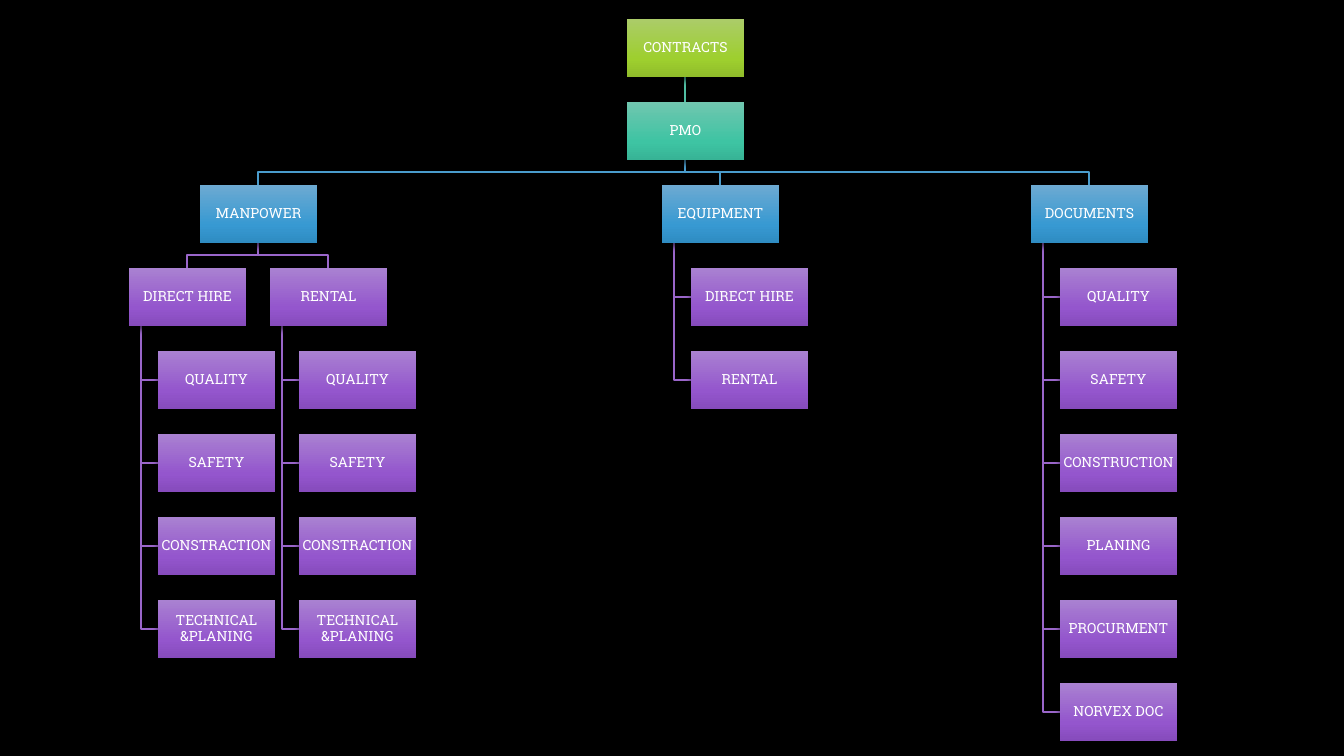
"""Draws the contracts organisation chart."""
from copy import deepcopy

from pptx import Presentation, util as u
from pptx.dml.color import RGBColor
from pptx.enum import shapes, text
from pptx.oxml import parse_xml
from pptx.oxml.ns import nsdecls, qn

PX = 914400 / 100.8
WIDE, HIGH, STEP, TOP = 117, 58, 83, 19
HALF, STEM, INDENT = 58, 12, 29
LIME = ("ABCC69", "9ECF2E", "90BC2A")
TEAL = ("70C6AF", "3EC4A3", "37B395")
BLUE = ("6DAAD2", "3799D2", "2F8CC2")
PLUM = ("A981D1", "9456CD", "864BBC")
TEAL_LINE, BLUE_LINE, PLUM_LINE = "50BEA3", "4A9CCC", "9A66CA"
ROOT = 627
CREW = ["QUALITY", "SAFETY", "CONSTRACTION", "TECHNICAL &PLANING"]
PAPERS = ["QUALITY", "SAFETY", "CONSTRUCTION", "PLANING", "PROCURMENT", "NORVEX DOC"]
HEADS = [
    ("CONTRACTS", ROOT, 0, LIME, []),
    ("PMO", ROOT, 1, TEAL, []),
    ("MANPOWER", 200, 2, BLUE, []),
    ("DIRECT HIRE", 129, 3, PLUM, CREW),
    ("RENTAL", 270, 3, PLUM, CREW),
    ("EQUIPMENT", 662, 2, BLUE, ["DIRECT HIRE", "RENTAL"]),
    ("DOCUMENTS", 1031, 2, BLUE, PAPERS),
]
FORKS = [(ROOT, 1, (200, 662, 1031), BLUE_LINE), (200, 2, (129, 270), PLUM_LINE)]


def emu(px):
    """Turn pixels into EMU."""
    return u.Emu(round(px * PX))


def tint(code):
    """Turn a hex string into a colour."""
    return RGBColor.from_string(code)


def top(row):
    """Give the upper edge of a row."""
    return TOP + STEP * row


def pen(line, code):
    """Style a line."""
    line.color.rgb = tint(code)
    line.width = u.Pt(1.5)


def drop(slide, x, row, code):
    """Draw a straight line down to the next row."""
    ends = [emu(n) for n in (x, top(row) + HIGH, x, top(row + 1))]
    link = slide.shapes.add_connector(shapes.MSO_CONNECTOR.STRAIGHT, *ends)
    pen(link.line, code)
    link._element.spPr.append(parse_xml(f"<a:effectLst {nsdecls('a')}/>"))


def bend(slide, spots, code):
    """Draw an open angled line through the given points."""
    form = slide.shapes.build_freeform(*spots[0], scale=PX)
    form.add_line_segments(spots[1:], close=False)
    link = form.convert_to_shape()
    link.fill.background()
    link.shadow.inherit = False
    pen(link.line, code)


def fork(slide, left, row, kids, code):
    """Join a box to the boxes of the next row."""
    x, low = left + HALF, top(row) + HIGH
    mid = low + STEM
    for kid in kids:
        end = kid + HALF
        bend(slide, [(x, low), (x, mid), (end, mid), (end, top(row + 1))], code)


def hang(slide, left, row, count):
    """Join a box to the leaves stacked below it."""
    x = left + STEM
    for leaf in range(row + count, row, -1):
        y = top(leaf) + HALF // 2
        bend(slide, [(x, top(row) + HIGH), (x, y), (left + INDENT, y)], PLUM_LINE)


def shade(shape, tones):
    """Fill a shape with a vertical three-tone gradient."""
    shape.fill.gradient()
    shape.fill.gradient_angle = 270
    stops = shape._element.spPr.find(".//" + qn("a:gsLst"))
    stops.append(deepcopy(stops[0]))
    for stop, tone, place in zip(shape.fill.gradient_stops, tones, (0, 0.69, 1)):
        stop.color.rgb = tint(tone)
        stop.position = place


def cast(shape):
    """Give a shape a soft shadow below."""
    shape.shadow.inherit = False
    shape._element.spPr.find(qn("a:effectLst")).append(parse_xml(
        f'<a:outerShdw {nsdecls("a")} blurRad="50800" dist="38100" dir="5400000" '
        'rotWithShape="0"><a:srgbClr val="000000"><a:alpha val="54000"/>'
        '</a:srgbClr></a:outerShdw>'))


def box(slide, label, left, row, tones):
    """Draw one labelled box."""
    area = [emu(n) for n in (left, top(row), WIDE, HIGH)]
    shape = slide.shapes.add_shape(shapes.MSO_SHAPE.RECTANGLE, *area)
    shade(shape, tones)
    shape.line.fill.background()
    cast(shape)
    frame = shape.text_frame
    frame.word_wrap = True
    frame.vertical_anchor = text.MSO_ANCHOR.MIDDLE
    frame.margin_left = frame.margin_right = emu(1)
    frame.margin_top = frame.margin_bottom = emu(1)
    para = frame.paragraphs[0]
    para.text = label
    para.alignment = text.PP_ALIGN.CENTER
    para.line_spacing = 0.9
    para.space_after = u.Pt(3.5)
    para.font.name = "Roboto Slab"
    para.font.size = u.Pt(10)
    para.font.color.rgb = tint("FFFFFF")


def main():
    """Build the slide and save it."""
    deck = Presentation()
    deck.slide_width, deck.slide_height = emu(1344), emu(756)
    slide = deck.slides.add_slide(deck.slide_layouts[6])
    slide.background.fill.solid()
    slide.background.fill.fore_color.rgb = tint("000000")
    for _, left, row, _, leaves in HEADS:
        hang(slide, left, row, len(leaves))
    for left, row, kids, code in FORKS:
        fork(slide, left, row, kids, code)
    drop(slide, ROOT + HALF, 0, TEAL_LINE)
    for label, left, row, tones, leaves in HEADS:
        box(slide, label, left, row, tones)
        for place, leaf in enumerate(leaves, row + 1):
            box(slide, leaf, left + INDENT, place, PLUM)
    deck.save("out.pptx")


main()
